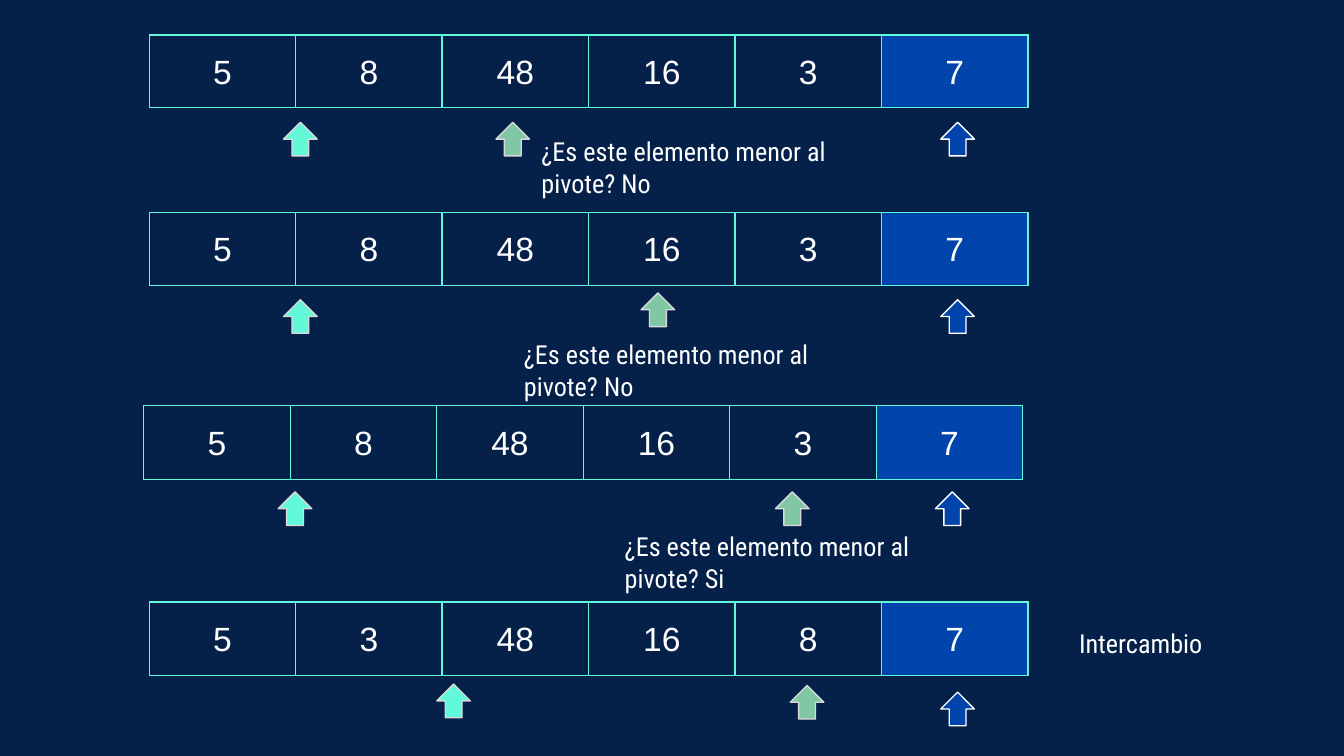
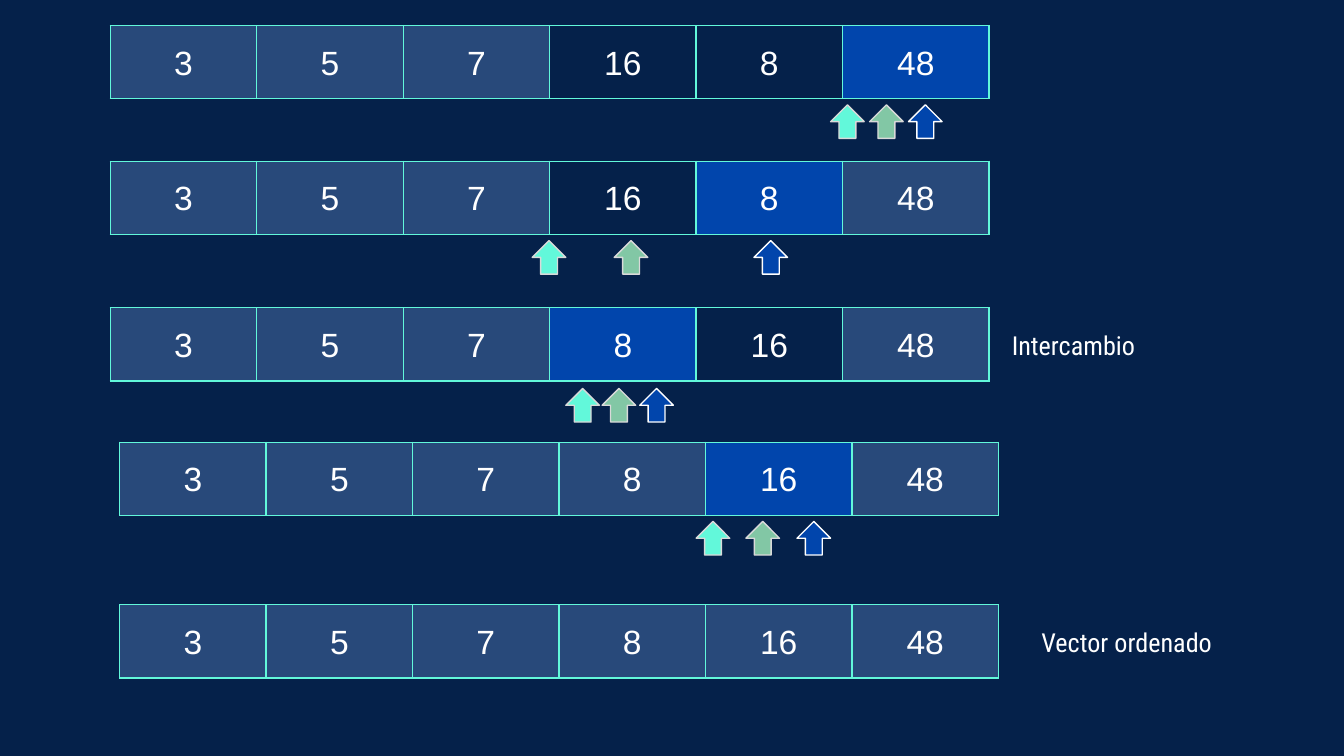
from pptx import Presentation
from pptx.dml.color import RGBColor as RGB
from pptx.enum.shapes import MSO_SHAPE as Shape
from pptx.enum.text import MSO_AUTO_SIZE as AutoSize, PP_ALIGN as Align
from pptx.oxml import parse_xml
from pptx.oxml.ns import nsdecls
from pptx.util import Inches, Pt

COLORS = {
    "background": "05214A",
    "text": "FFFFFF",
    "border": "62F8DA",
    "pivot": "0145AC",
    "scan": "82C7A5",
    "low": "62F8DA",
    "sorted": "28497A",
    "arrow_line": "D9D9D9",
}
CELL_FORMAT = {"size": Pt(18), "name": "Arial"}
NOTE_FORMAT = {"size": Pt(14), "name": "Roboto Condensed"}
MARGINS = ("margin_left", "margin_top", "margin_right", "margin_bottom")
CELL_WIDTH, CELL_HEIGHT, ARROW_SIZE = 1.09, 0.54, 0.25
FRAME_SIZE = 3.28
CELL_FILLS = {"P": "pivot", "S": "sorted"}
ARROWS = (("pivot", "text"), ("scan", "arrow_line"), ("low", "arrow_line"))
QUESTION = "¿Es este elemento menor al pivote? "

# Each step: left, top, values, cell states (P pivot, S sorted, - open),
# (left, top) of the pivot, scan and low arrows, and the note with its box.
PARTITION = [
    (1.11, 0.26, "5 8 48 16 3 7", "-----P",
     [(7, 0.91), (3.69, 0.91), (2.11, 0.91)],
     (QUESTION + "No", 3.93, 0.91, 2.68, 0.67)),
    (1.11, 1.58, "5 8 48 16 3 7", "-----P",
     [(7, 2.23), (4.77, 2.18), (2.11, 2.23)],
     (QUESTION + "No", 3.8, 2.42, 2.68, 0.67)),
    (1.07, 3.02, "5 8 48 16 3 7", "-----P",
     [(6.96, 3.66), (5.77, 3.66), (2.07, 3.66)],
     (QUESTION + "Si", 4.55, 3.85, 2.68, 0.67)),
    (1.11, 4.48, "5 3 48 16 8 7", "-----P",
     [(7, 5.15), (5.88, 5.1), (3.25, 5.09)],
     ("Intercambio", 7.93, 4.57, 1.59, 0.44)),
]
FINAL_SORT = [
    (0.82, 0.19, "3 5 7 16 8 48", "SSS--P",
     [(6.76, 0.78), (6.47, 0.78), (6.18, 0.78)], None),
    (0.82, 1.2, "3 5 7 16 8 48", "SSS-PS",
     [(5.61, 1.79), (4.57, 1.79), (3.96, 1.79)], None),
    (0.82, 2.29, "3 5 7 8 16 48", "SSSP-S",
     [(4.76, 2.89), (4.48, 2.89), (4.21, 2.89)],
     ("Intercambio", 7.43, 2.35, 1.87, 0.44)),
    (0.89, 3.29, "3 5 7 8 16 48", "SSSSPS",
     [(5.93, 3.88), (5.55, 3.88), (5.18, 3.88)], None),
    (0.89, 4.5, "3 5 7 8 16 48", "SSSSSS", [],
     ("Vector ordenado", 7.65, 4.56, 1.87, 0.44)),
]


def write(frame, text, formats):
    """Put white text in the frame and return its paragraph."""
    para = frame.paragraphs[0]
    span = para.add_run()
    span.text = text
    for name, value in formats.items():
        setattr(span.font, name, value)
    span.font.color.rgb = RGB.from_string(COLORS["text"])
    return para


def add_borders(cell):
    properties = cell._tc.get_or_add_tcPr()
    for side in ("lnL", "lnR", "lnT", "lnB"):
        properties.append(parse_xml(
            f'<a:{side} {nsdecls("a")} w="{Pt(0.75)}"><a:solidFill>'
            f'<a:srgbClr val="{COLORS["border"]}"/></a:solidFill></a:{side}>'))


deck = Presentation()
deck.slide_width, deck.slide_height = Inches(10), Inches(5.625)

for steps in (PARTITION, FINAL_SORT):
    page = deck.slides.add_slide(deck.slide_layouts[6])
    page.background.fill.solid()
    page.background.fill.fore_color.rgb = RGB.from_string(COLORS["background"])

    for left, top, values, states, arrow_places, note in steps:
        numbers = values.split()
        holder = page.shapes.add_table(
            1, len(numbers), Inches(left), Inches(top),
            Inches(CELL_WIDTH * len(numbers)), Inches(CELL_HEIGHT))
        table = holder.table
        table.first_row = table.horz_banding = False
        for cell, number, state in zip(table.iter_cells(), numbers, states):
            for margin in MARGINS:
                setattr(cell, margin, Inches(0.1))
            para = write(cell.text_frame, number, CELL_FORMAT)
            para.alignment, para.line_spacing = Align.CENTER, 1.15
            add_borders(cell)
            if state in CELL_FILLS:
                cell.fill.solid()
                cell.fill.fore_color.rgb = RGB.from_string(COLORS[CELL_FILLS[state]])
            else:
                cell.fill.background()
        holder.width = holder.height = Inches(FRAME_SIZE)

        for (role, line_color), (x, y) in zip(ARROWS, arrow_places):
            arrow = page.shapes.add_shape(
                Shape.DOWN_ARROW, Inches(x), Inches(y),
                Inches(ARROW_SIZE), Inches(ARROW_SIZE))
            arrow.rotation = 180
            arrow.shadow.inherit = False
            arrow.fill.solid()
            arrow.fill.fore_color.rgb = RGB.from_string(COLORS[role])
            arrow.line.color.rgb = RGB.from_string(COLORS[line_color])
            arrow.line.width = Pt(0.75)

        if note:
            text, *place = note
            box = page.shapes.add_textbox(*map(Inches, place))
            frame = box.text_frame
            frame.word_wrap = True
            frame.auto_size = AutoSize.SHAPE_TO_FIT_TEXT
            for margin in MARGINS:
                setattr(frame, margin, Inches(0.1))
            write(frame, text, NOTE_FORMAT)

deck.save("out.pptx")
